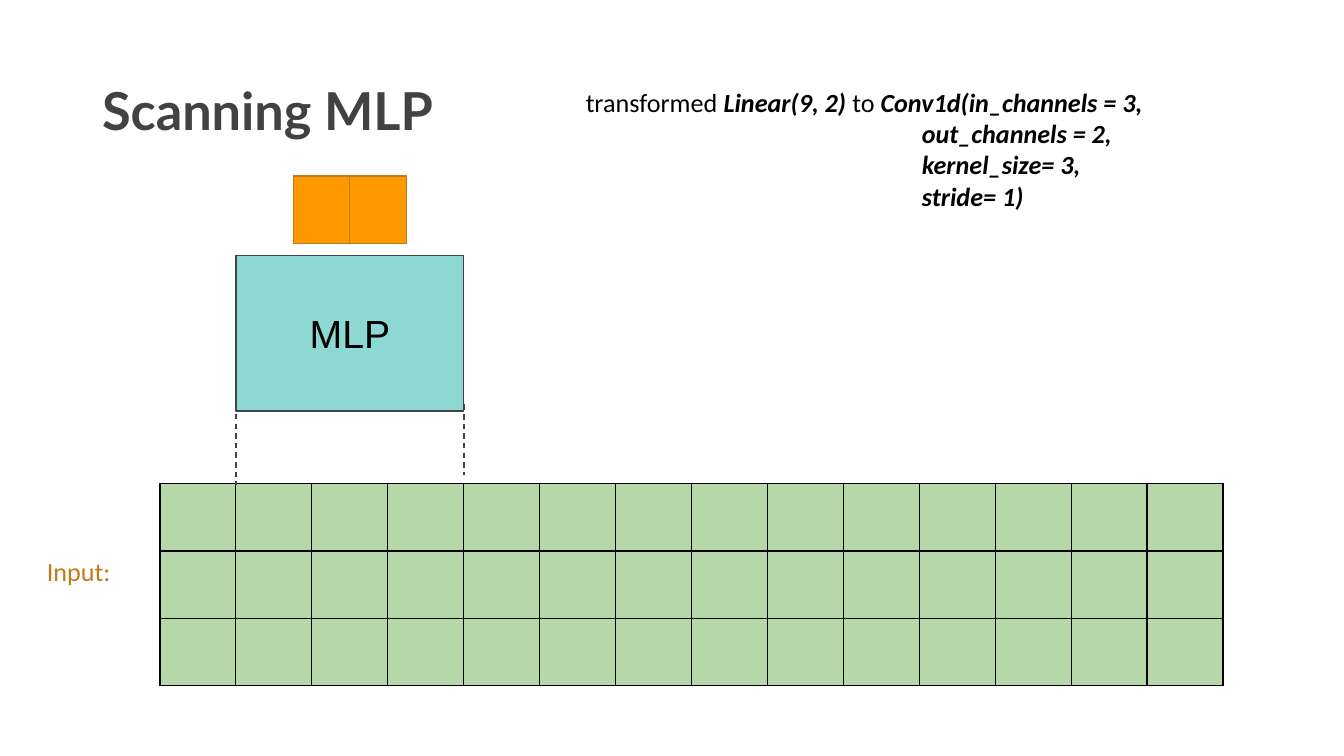
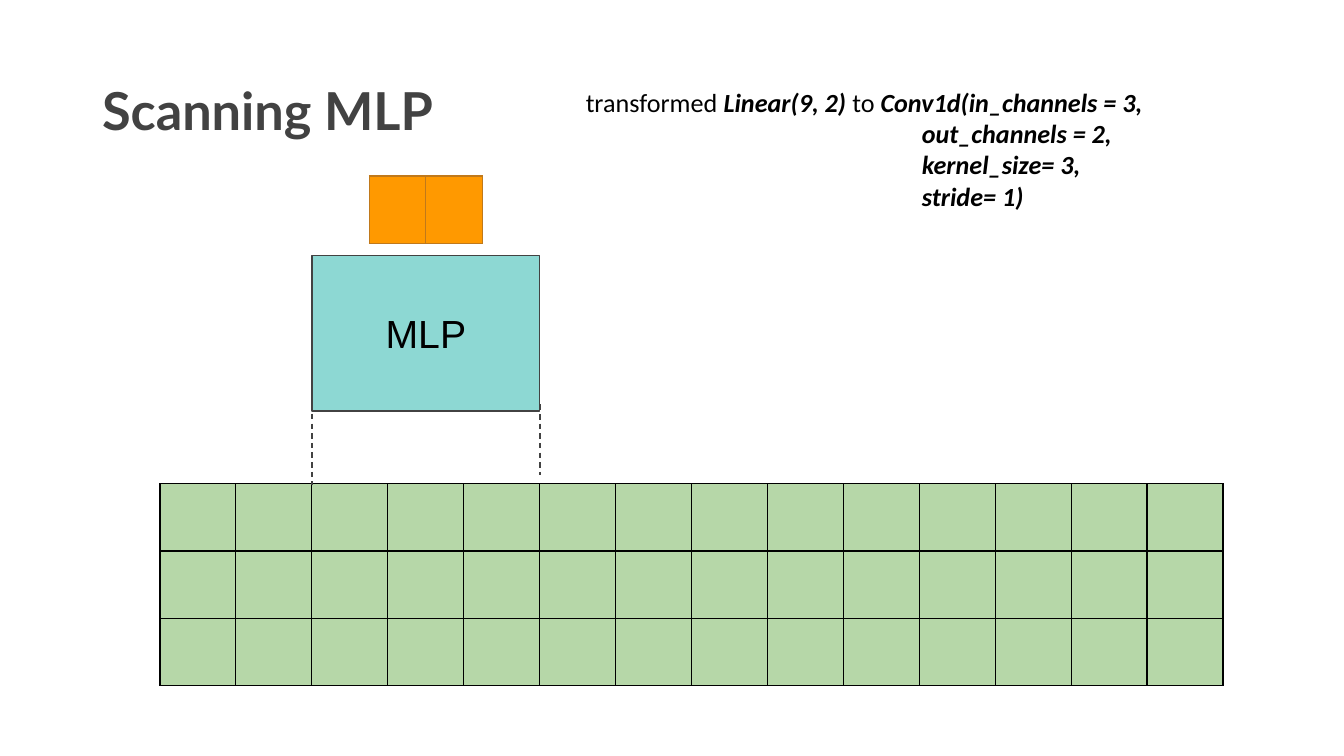
"""Build two slides that show an MLP scanning along an input grid."""
from lxml import etree
from pptx import Presentation
from pptx.dml.color import RGBColor
from pptx.enum.dml import MSO_LINE
from pptx.enum.shapes import MSO_CONNECTOR, MSO_SHAPE
from pptx.enum.text import MSO_ANCHOR, PP_ALIGN
from pptx.oxml.ns import qn
from pptx.util import Pt

TITLE = "Scanning MLP"
MODEL = "MLP"
CALL_LINES = [
    (0, [("transformed ", False), ("Linear(9, 2)", True), (" to ", False),
         ("Conv1d(in_channels = 3,", True)]),
    (180, [("out_channels = 2, kernel_size= 3,", True)]),
    (180, [("stride= 1)", True)]),
]
SLIDES = [
    {"offset": 1, "label": "Input:"},
    {"offset": 2, "label": None},
]

BLACK = RGBColor(0x00, 0x00, 0x00)
DARK_GRAY = RGBColor(0x42, 0x42, 0x42)
GREEN = RGBColor(0xB6, 0xD7, 0xA8)
TEAL = RGBColor(0x8D, 0xD8, 0xD3)
ORANGE = RGBColor(0xFF, 0x99, 0x00)
BROWN = RGBColor(0xC0, 0x79, 0x1B)

RECTANGLE = MSO_SHAPE.RECTANGLE
STRAIGHT = MSO_CONNECTOR.STRAIGHT
DASH = MSO_LINE.DASH
MIDDLE = MSO_ANCHOR.MIDDLE
CENTER = PP_ALIGN.CENTER

BLANK_LAYOUT = 6
LINE_WIDTH = 0.75
INSET = 7.2
GRID_LEFT, GRID_TOP = 85.7, 259.2
GRID_COLUMNS, GRID_ROWS = 14, 3
CELL_WIDTH, CELL_HEIGHT = 40.7, 30.2
KERNEL_SIZE = 3
MODEL_TOP, MODEL_HEIGHT = 136.8, 83.5
OUTPUT_TOP, OUTPUT_COUNT = 94.3, 2
OUTPUT_WIDTH, OUTPUT_HEIGHT = 30.3, 22.3
GUIDE_TOPS, GUIDE_LENGTH = (221.8, 216.7), 37.8


def style_font(font, name, size, color, bold=False, italic=False):
    font.name, font.size, font.bold, font.italic = name, Pt(size), bold, italic
    font.color.rgb = color


def set_insets(text_frame, horizontal, vertical):
    text_frame.margin_left = text_frame.margin_right = Pt(horizontal)
    text_frame.margin_top = text_frame.margin_bottom = Pt(vertical)


def add_text_box(slide, left, top, width, height, insets=(INSET, INSET)):
    box = slide.shapes.add_textbox(Pt(left), Pt(top), Pt(width), Pt(height))
    box.text_frame.word_wrap = True
    set_insets(box.text_frame, *insets)
    return box.text_frame


def add_title(slide):
    text_frame = add_text_box(slide, 49.7, 21.6, 620.6, 78.5, (5, 2.9))
    text_frame.vertical_anchor = MIDDLE
    text_frame.text = TITLE
    paragraph = text_frame.paragraphs[0]
    paragraph.line_spacing = 0.9
    style_font(paragraph.runs[0].font, "Lato", 28, DARK_GRAY, bold=True)


def add_call(slide):
    text_frame = add_text_box(slide, 306.7, 38.9, 368.6, 82.1)
    for index, (indent, pieces) in enumerate(CALL_LINES):
        paragraph = text_frame.add_paragraph() if index else text_frame.paragraphs[0]
        properties = paragraph._p.get_or_add_pPr()
        properties.set("marL", str(Pt(indent)))
        properties.set("indent", "0")
        for text, strong in pieces:
            run = paragraph.add_run()
            run.text = text
            style_font(run.font, "Calibri", 14, BLACK, strong, strong)


def add_borders(cell, color):
    properties = cell._tc.get_or_add_tcPr()
    for side in ("a:lnL", "a:lnR", "a:lnT", "a:lnB"):
        line = etree.SubElement(properties, qn(side), w=str(Pt(LINE_WIDTH)))
        fill = etree.SubElement(line, qn("a:solidFill"))
        etree.SubElement(fill, qn("a:srgbClr"), val=str(color))


def add_grid(slide, left, top, rows, columns, cell_width, cell_height, fill, border):
    table = slide.shapes.add_table(
        rows, columns, Pt(left), Pt(top),
        Pt(columns * cell_width), Pt(rows * cell_height)).table
    table.first_row = table.horz_banding = False
    for column in table.columns:
        column.width = Pt(cell_width)
    for row in table.rows:
        row.height = Pt(cell_height)
    for cell in table.iter_cells():
        set_insets(cell, INSET, INSET)
        add_borders(cell, border)
        cell.fill.solid()
        cell.fill.fore_color.rgb = fill


def add_model(slide, left, width):
    shape = slide.shapes.add_shape(
        RECTANGLE, Pt(left), Pt(MODEL_TOP), Pt(width), Pt(MODEL_HEIGHT))
    shape.shadow.inherit = False
    shape.fill.solid()
    shape.fill.fore_color.rgb = TEAL
    shape.line.color.rgb = DARK_GRAY
    shape.line.width = Pt(LINE_WIDTH)
    text_frame = shape.text_frame
    set_insets(text_frame, INSET, INSET)
    text_frame.vertical_anchor = MIDDLE
    text_frame.text = MODEL
    paragraph = text_frame.paragraphs[0]
    paragraph.alignment = CENTER
    style_font(paragraph.runs[0].font, "Arial", 21, BLACK)


def add_guide(slide, x, top):
    guide = slide.shapes.add_connector(
        STRAIGHT, Pt(x), Pt(top), Pt(x), Pt(top + GUIDE_LENGTH))
    guide.line.color.rgb = DARK_GRAY
    guide.line.width = Pt(LINE_WIDTH)
    guide.line.dash_style = DASH
    etree.SubElement(guide._element.spPr, qn("a:effectLst"))


def add_label(slide, label):
    text_frame = add_text_box(slide, 18, 290.2, 236.2, 31.7)
    text_frame.text = label
    style_font(text_frame.paragraphs[0].runs[0].font, "Calibri", 14, BROWN)


def add_scan_slide(presentation, offset, label):
    slide = presentation.slides.add_slide(presentation.slide_layouts[BLANK_LAYOUT])
    left = GRID_LEFT + offset * CELL_WIDTH
    width = KERNEL_SIZE * CELL_WIDTH
    output_left = left + (width - OUTPUT_COUNT * OUTPUT_WIDTH) / 2
    add_title(slide)
    add_grid(slide, GRID_LEFT, GRID_TOP, GRID_ROWS, GRID_COLUMNS,
             CELL_WIDTH, CELL_HEIGHT, GREEN, BLACK)
    add_model(slide, left, width)
    for x, top in zip((left, left + width), GUIDE_TOPS):
        add_guide(slide, x, top)
    add_grid(slide, output_left, OUTPUT_TOP, 1, OUTPUT_COUNT,
             OUTPUT_WIDTH, OUTPUT_HEIGHT, ORANGE, BROWN)
    if label:
        add_label(slide, label)
    add_call(slide)


def main():
    presentation = Presentation()
    presentation.slide_width, presentation.slide_height = Pt(720), Pt(405)
    for content in SLIDES:
        add_scan_slide(presentation, **content)
    presentation.save("out.pptx")


if __name__ == "__main__":
    main()
